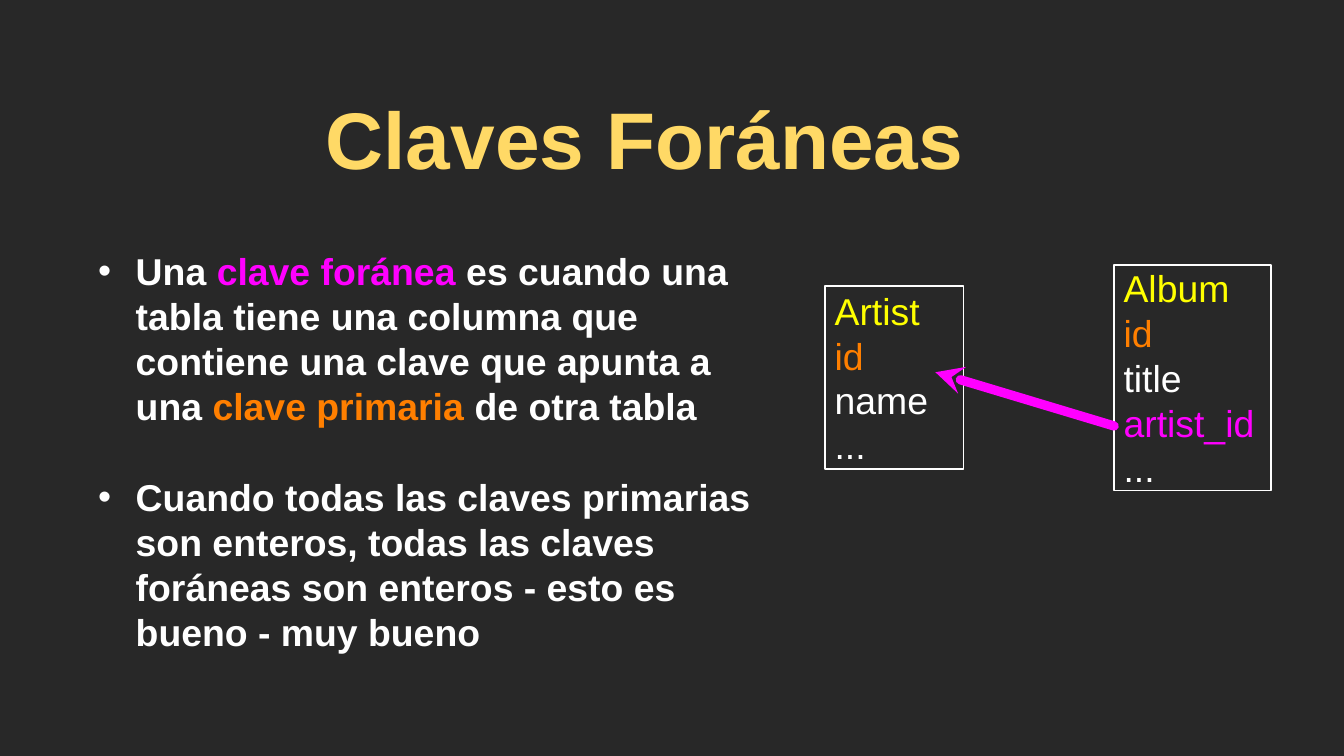
from lxml import etree
from pptx import Presentation
from pptx import util as u
from pptx.dml.color import RGBColor
from pptx.enum import shapes, text
from pptx.oxml.ns import qn

BACKGROUND = RGBColor(0x28, 0x28, 0x28)
GOLD = RGBColor(0xFF, 0xD9, 0x66)
WHITE = RGBColor(0xFF, 0xFF, 0xFF)
YELLOW = RGBColor(0xFF, 0xFF, 0x00)
ORANGE = RGBColor(0xFF, 0x7F, 0x00)
MAGENTA = RGBColor(0xFF, 0x00, 0xFF)

BULLETS = [
    [("Una ", WHITE), ("clave foránea", MAGENTA),
     (" es cuando una tabla tiene una columna que contiene una clave que apunta a una ", WHITE),
     ("clave primaria", ORANGE), (" de otra tabla", WHITE)],
    [("Cuando todas las claves primarias son enteros, todas las claves foráneas "
      "son enteros - esto es bueno - muy bueno", WHITE)],
]
ARTIST = [("Artist", YELLOW), ("id", ORANGE), ("name", WHITE), ("...", WHITE)]
ALBUM = [("Album", YELLOW), ("id", ORANGE), ("title", WHITE),
         ("artist_id", MAGENTA), ("...", WHITE)]


def set_all(obj, values):
    """Set each attribute of an object from a dict."""
    for name, value in values.items():
        setattr(obj, name, value)


def set_frame(sp, left, top, right):
    """Prepare a wrapping, vertically centred text frame and return it."""
    tf = sp.text_frame
    set_all(tf, {"word_wrap": True, "vertical_anchor": text.MSO_ANCHOR.MIDDLE,
                 "margin_left": u.Inches(left), "margin_right": u.Inches(right),
                 "margin_top": u.Inches(top), "margin_bottom": u.Inches(top)})
    return tf


def add_run(p, words, color, size=20, bold=False):
    """Append one coloured run to a paragraph."""
    r = p.add_run()
    r.text = words
    set_all(r.font, {"name": "Arial", "size": u.Pt(size), "bold": bold})
    r.font.color.rgb = color


def paragraphs(tf, items):
    """Yield a paragraph of the frame with each item."""
    for i, item in enumerate(items):
        yield (tf.add_paragraph() if i else tf.paragraphs[0]), item


def add_title(s, box, words):
    """Add the centred slide title."""
    tf = set_frame(s.shapes.add_textbox(*map(u.Inches, box)), 0.02, 0.02, 0.02)
    p = tf.paragraphs[0]
    p.alignment = text.PP_ALIGN.CENTER
    add_run(p, words, GOLD, 43, True)


def add_bullets(s, box, items):
    """Add the bulleted explanation."""
    tf = set_frame(s.shapes.add_textbox(*map(u.Inches, box)), 0.02, 0.02, 0.06)
    for p, runs in paragraphs(tf, items):
        if runs is not items[0]:
            set_all(p, {"space_before": u.Pt(25), "space_after": u.Pt(6)})
        ppr = p._p.get_or_add_pPr()
        ppr.set("marL", str(u.Inches(0.28)))
        ppr.set("indent", str(u.Inches(-0.28)))
        color = etree.SubElement(ppr, qn("a:buClr"))
        etree.SubElement(color, qn("a:srgbClr"), val=str(WHITE))
        etree.SubElement(ppr, qn("a:buFont"), typeface="Arial")
        etree.SubElement(ppr, qn("a:buChar"), char="•")
        for words, run_color in runs:
            add_run(p, words, run_color, bold=True)


def add_entity(s, box, fields):
    """Add an outlined database table with its name and columns."""
    sp = s.shapes.add_shape(shapes.MSO_SHAPE.RECTANGLE, *map(u.Inches, box))
    sp.shadow.inherit = False
    sp.fill.background()
    sp.line.color.rgb = WHITE
    sp.line.width = u.Pt(1)
    for p, (words, color) in paragraphs(set_frame(sp, 0.07, 0, 0), fields):
        p.alignment = text.PP_ALIGN.LEFT
        add_run(p, words, color)


def add_reference(s, target, source):
    """Add the arrow from a foreign key to the primary key it points at."""
    line = s.shapes.add_connector(shapes.MSO_CONNECTOR.STRAIGHT,
                                  *map(u.Inches, target + source))
    line.line.color.rgb = MAGENTA
    line.line.width = u.Pt(5)
    ln = line.line._get_or_add_ln()
    ln.set("cap", "rnd")
    etree.SubElement(ln, qn("a:headEnd"), type="stealth")
    etree.SubElement(line._element.spPr, qn("a:effectLst"))


def add_schema(s, box):
    """Add both tables and their reference, placed relative to the box."""
    x, y, w, h = box
    add_entity(s, (x, y + 0.16, 1.03, 1.36), ARTIST)
    add_entity(s, (x + w - 1.17, y, 1.17, h), ALBUM)
    add_reference(s, (x + 0.82, y + 0.8), (x + w - 1.17, y + 1.2))


def main():
    """Build and save the slide."""
    prs = Presentation()
    set_all(prs, {"slide_width": u.Inches(10), "slide_height": u.Inches(10 * 9 / 16)})
    s = prs.slides.add_slide(prs.slide_layouts[6])
    s.background.fill.solid()
    s.background.fill.fore_color.rgb = BACKGROUND
    add_title(s, (0.71, 0.48, 8.17, 1.08), "Claves Foráneas")
    add_bullets(s, (0.71, 1.6, 5.18, 3.51), BULLETS)
    add_schema(s, (6.14, 1.97, 3.32, 1.68))
    prs.save("out.pptx")


if __name__ == "__main__":
    main()
